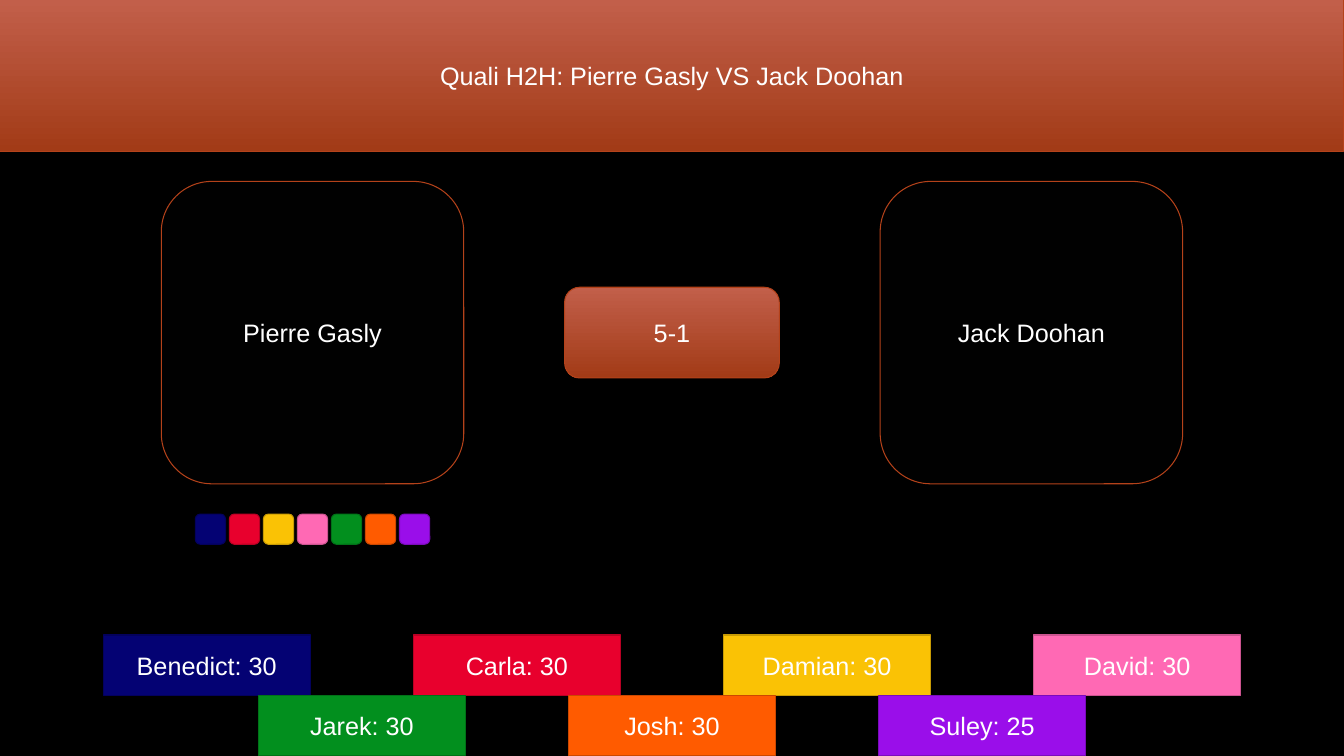
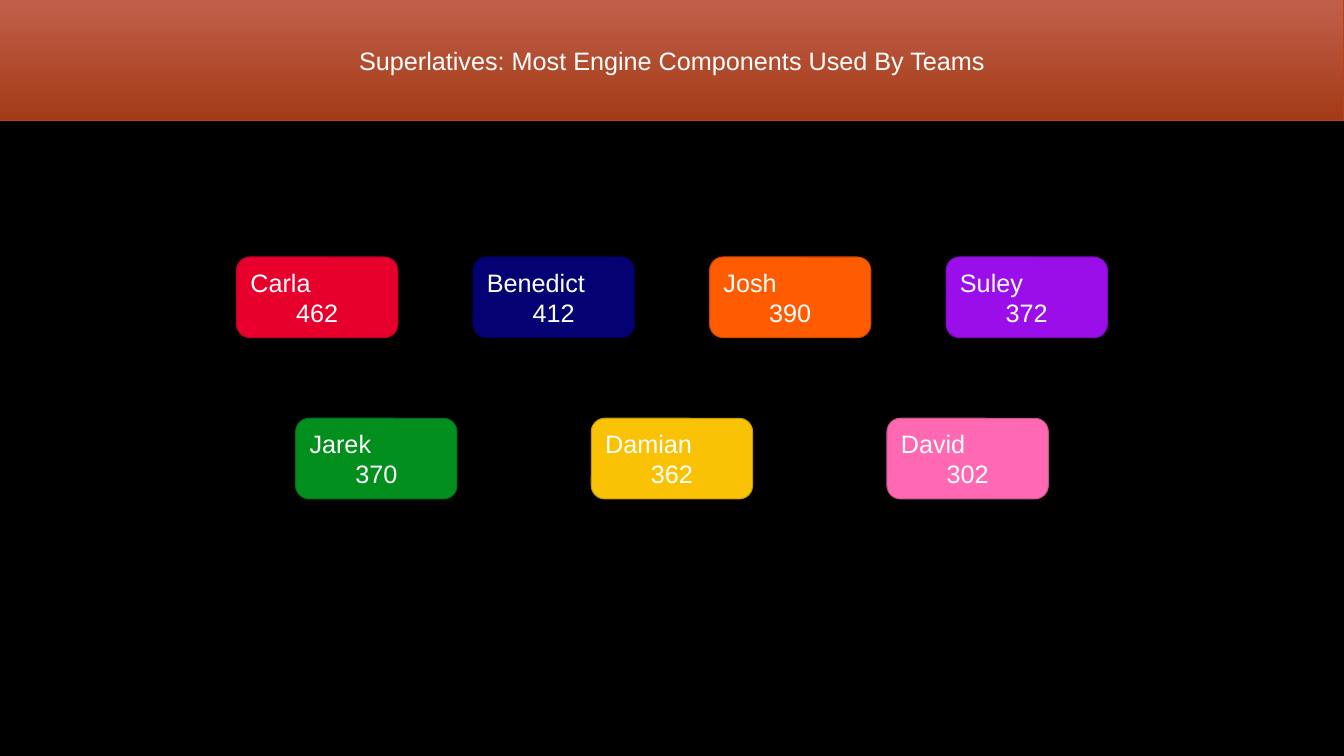
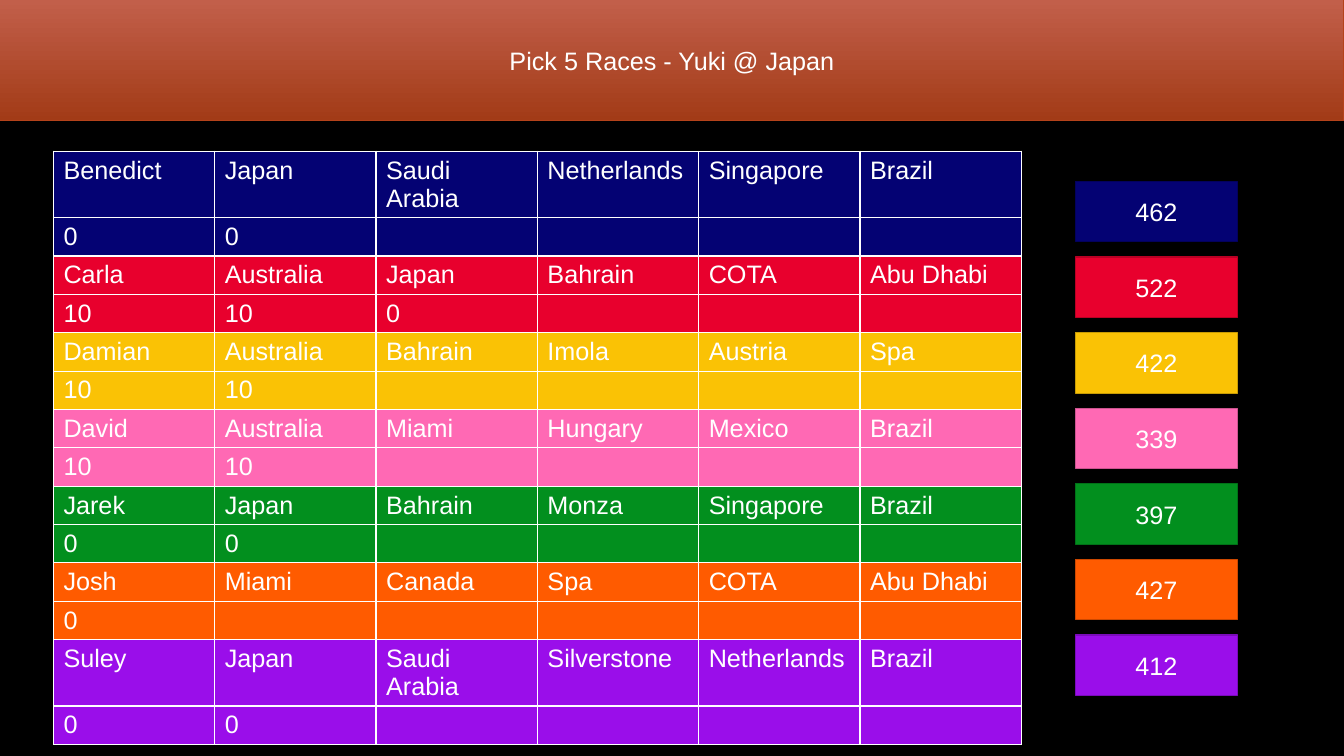
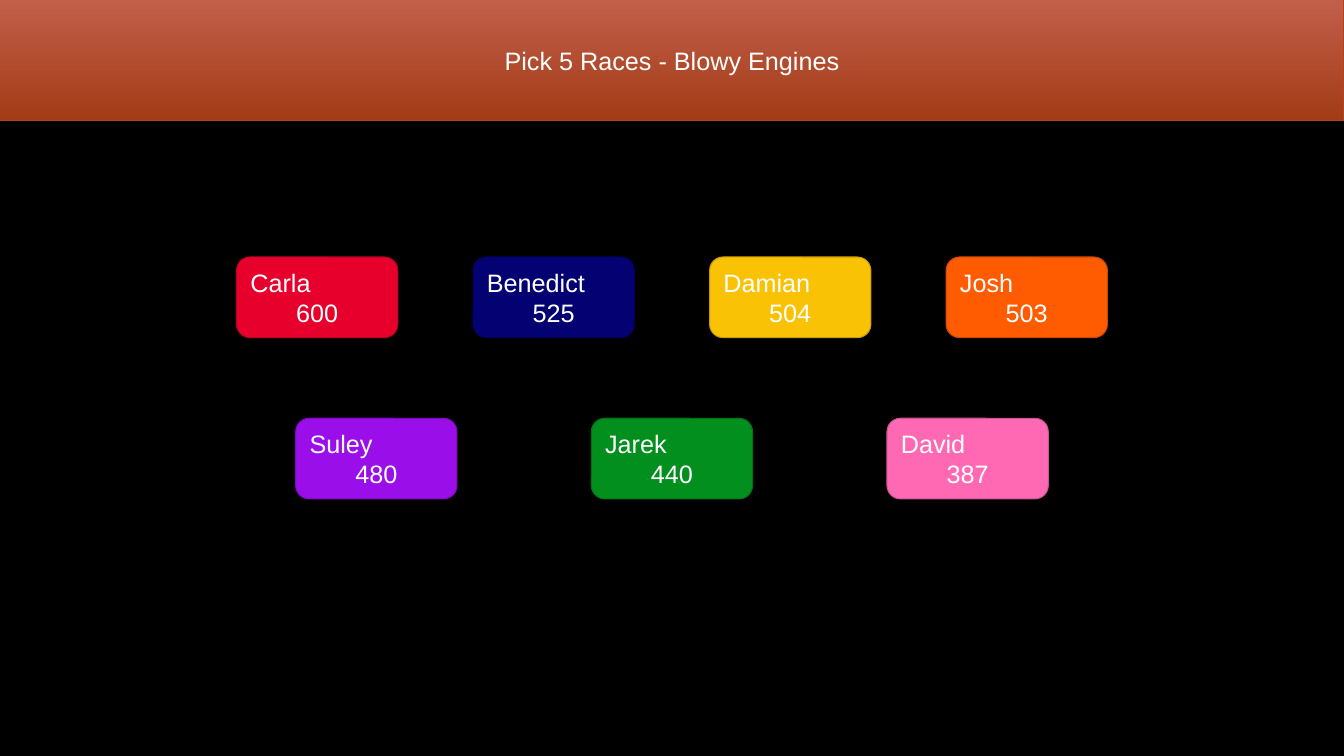
import dataclasses

import pptx
import pptx.dml.color
import pptx.enum.shapes
import pptx.enum.text
import pptx.util

Inches = pptx.util.Inches
KINDS = pptx.enum.shapes.MSO_SHAPE
ALIGN = pptx.enum.text.PP_ALIGN


@dataclasses.dataclass(frozen=True)
class Theme:
    """Colours, type and line sizes of the deck."""
    back: str = "000000"
    text: str = "FFFFFF"
    card: str = "010101"
    edge: str = "B4421A"
    fade: tuple = ("C25F4A", "A23B17")
    font: str = "Arial"
    size: int = 18
    line: float = 0.75


@dataclasses.dataclass(frozen=True)
class Box:
    """A place on the slide, in inches."""
    left: float
    top: float
    width: float
    height: float


THEME = Theme()
WIDTH, HEIGHT = 13.33, 7.5
TEAM = {
    "Benedict": "040273",
    "Carla": "E8002D",
    "Damian": "FAC205",
    "David": "FF69B4",
    "Jarek": "028F1E",
    "Josh": "FF5B00",
    "Suley": "9A0EEA",
}
PICKS = {
    "Benedict": (["Japan", "Saudi Arabia", "Netherlands", "Singapore", "Brazil"], ["0", "0"]),
    "Carla": (["Australia", "Japan", "Bahrain", "COTA", "Abu Dhabi"], ["10", "10", "0"]),
    "Damian": (["Australia", "Bahrain", "Imola", "Austria", "Spa"], ["10", "10"]),
    "David": (["Australia", "Miami", "Hungary", "Mexico", "Brazil"], ["10", "10"]),
    "Jarek": (["Japan", "Bahrain", "Monza", "Singapore", "Brazil"], ["0", "0"]),
    "Josh": (["Miami", "Canada", "Spa", "COTA", "Abu Dhabi"], ["0"]),
    "Suley": (["Japan", "Saudi Arabia", "Silverstone", "Netherlands", "Brazil"], ["0", "0"]),
}


def color(code):
    """Turn a hex code into a colour."""
    return pptx.dml.color.RGBColor.from_string(code)


def darken(code):
    """Return a hex code at four fifths of its brightness."""
    return "".join(f"{part * 4 // 5:02X}" for part in bytes.fromhex(code))


def style(para):
    """Give a paragraph the deck's type."""
    para.font.name = THEME.font
    para.font.size = pptx.util.Pt(THEME.size)
    para.font.color.rgb = color(THEME.text)
    para.font.bold = False


def panel(slide, box, kind, fill, edge, lines=()):
    """Draw a filled shape holding (text, alignment) lines."""
    shape = slide.shapes.add_shape(
        kind, Inches(box.left), Inches(box.top), Inches(box.width), Inches(box.height))
    shape.shadow.inherit = False
    if isinstance(fill, tuple):
        shape.fill.gradient()
        shape.fill.gradient_angle = 270
        for stop, code in zip(shape.fill.gradient_stops, fill):
            stop.color.rgb = color(code)
    else:
        shape.fill.solid()
        shape.fill.fore_color.rgb = color(fill)
    shape.line.color.rgb = color(edge)
    shape.line.width = pptx.util.Pt(THEME.line)
    frame = shape.text_frame
    for index, (text, align) in enumerate(lines):
        para = frame.add_paragraph() if index else frame.paragraphs[0]
        para.text = text
        para.alignment = align
        style(para)


def label(slide, box, kind, fill, edge, text):
    """Draw a shape with one centred line."""
    panel(slide, box, kind, fill, edge, [(text, ALIGN.CENTER)])


def member(slide, box, kind, name, lines=()):
    """Draw a shape in a team member's colour."""
    panel(slide, box, kind, TEAM[name], darken(TEAM[name]), lines)


def spread(box, count, width):
    """Space boxes evenly, with a full step before the first."""
    step = (box.width - width) / (count + 1)
    return [Box(box.left + step * (i + 1), box.top, width, box.height) for i in range(count)]


def start(deck, title, height=1.2):
    """Add a black slide with its title band."""
    slide = deck.slides.add_slide(deck.slide_layouts[6])
    slide.background.fill.solid()
    slide.background.fill.fore_color.rgb = color(THEME.back)
    label(slide, Box(0, 0, WIDTH, height), KINDS.RECTANGLE, THEME.fade, THEME.edge, title)
    return slide


def driver(slide, box, name, fans=()):
    """Draw a driver's card with a dot for each backer below."""
    label(slide, box, KINDS.ROUNDED_RECTANGLE, THEME.card, THEME.edge, name)
    row = Box(box.left, box.top + box.height + 0.3, box.width, 0.3)
    for fan, dot in zip(fans, spread(row, len(fans), row.height)):
        member(slide, dot, KINDS.ROUNDED_RECTANGLE, fan)


def tags(slide, box, scores):
    """Draw two staggered rows of name tags."""
    unit = box.width / 13
    height = box.height / 2
    for index, (name, score) in enumerate(scores.items()):
        row, col = divmod(index, 4)
        place = Box(box.left + unit * (1 + 1.5 * row + 3 * col),
                    box.top + height * row, unit * 2, height)
        member(slide, place, KINDS.RECTANGLE, name, [(f"{name}: {score}", ALIGN.CENTER)])


def duel(deck, title, left, right, result, scores):
    """Build a head-to-head slide."""
    slide = start(deck, title, 1.5)
    side, inset, top = 3, 1.6, 1.8
    driver(slide, Box(inset, top, side, side), left, list(TEAM))
    driver(slide, Box(WIDTH - inset - side, top, side, side), right)
    wide, high = 2.13, 0.9
    label(slide, Box((WIDTH - wide) / 2, top + (side - high) / 2, wide, high),
          KINDS.ROUNDED_RECTANGLE, THEME.fade, THEME.edge, result)
    tags(slide, Box(0, 6.3, WIDTH, 1.2), scores)


def chips(slide, box, scores):
    """Draw a row of evenly spaced score chips."""
    for (name, score), place in zip(scores, spread(box, len(scores), 1.6)):
        member(slide, place, KINDS.ROUNDED_RECTANGLE, name,
               [(name, ALIGN.LEFT), (str(score), ALIGN.CENTER)])


def ranking(deck, title, scores):
    """Build a slide of chips, best score first."""
    slide = start(deck, title)
    ranks = sorted(scores.items(), key=lambda pair: -pair[1])
    chips(slide, Box(0, 2.55, WIDTH, 0.8), ranks[:4])
    chips(slide, Box(0, 4.15, WIDTH, 0.8), ranks[4:])


def grid(slide, box, picks):
    """Draw the table of picked races and their points."""
    rows = []
    for name, (races, points) in picks.items():
        rows += [(name, [name] + races), (name, points)]
    table = slide.shapes.add_table(
        len(rows), 6, Inches(box.left), Inches(box.top),
        Inches(box.width), Inches(box.height)).table
    for line, (name, texts) in zip(table.rows, rows):
        for index, cell in enumerate(line.cells):
            cell.fill.solid()
            cell.fill.fore_color.rgb = color(TEAM[name])
            cell.text = texts[index] if index < len(texts) else ""
            style(cell.text_frame.paragraphs[0])


def totals(slide, box, scores):
    """Stack the total of each team member."""
    step = box.height / len(scores)
    for index, (name, score) in enumerate(scores.items()):
        place = Box(box.left, box.top + step * index, box.width, 0.6)
        member(slide, place, KINDS.RECTANGLE, name, [(str(score), ALIGN.CENTER)])


def races(deck, title, picks, scores):
    """Build a slide of race picks and totals."""
    slide = start(deck, title)
    grid(slide, Box(0.53, 1.5, 9.6, 4.5), picks)
    totals(slide, Box(10.67, 1.8, 1.6, 5.25), scores)


def main():
    """Build and save the deck."""
    deck = pptx.Presentation()
    deck.slide_width, deck.slide_height = Inches(WIDTH), Inches(HEIGHT)
    duel(deck, "Quali H2H: Pierre Gasly VS Jack Doohan", "Pierre Gasly", "Jack Doohan", "5-1",
         dict(zip(TEAM, [30, 30, 30, 30, 30, 30, 25])))
    ranking(deck, "Superlatives: Most Engine Components Used By Teams",
            dict(zip(TEAM, [412, 462, 362, 302, 370, 390, 372])))
    races(deck, "Pick 5 Races - Yuki @ Japan", PICKS,
          dict(zip(TEAM, [462, 522, 422, 339, 397, 427, 412])))
    ranking(deck, "Pick 5 Races - Blowy Engines",
            dict(zip(TEAM, [525, 600, 504, 387, 440, 503, 480])))
    deck.save("out.pptx")


if __name__ == "__main__":
    main()
